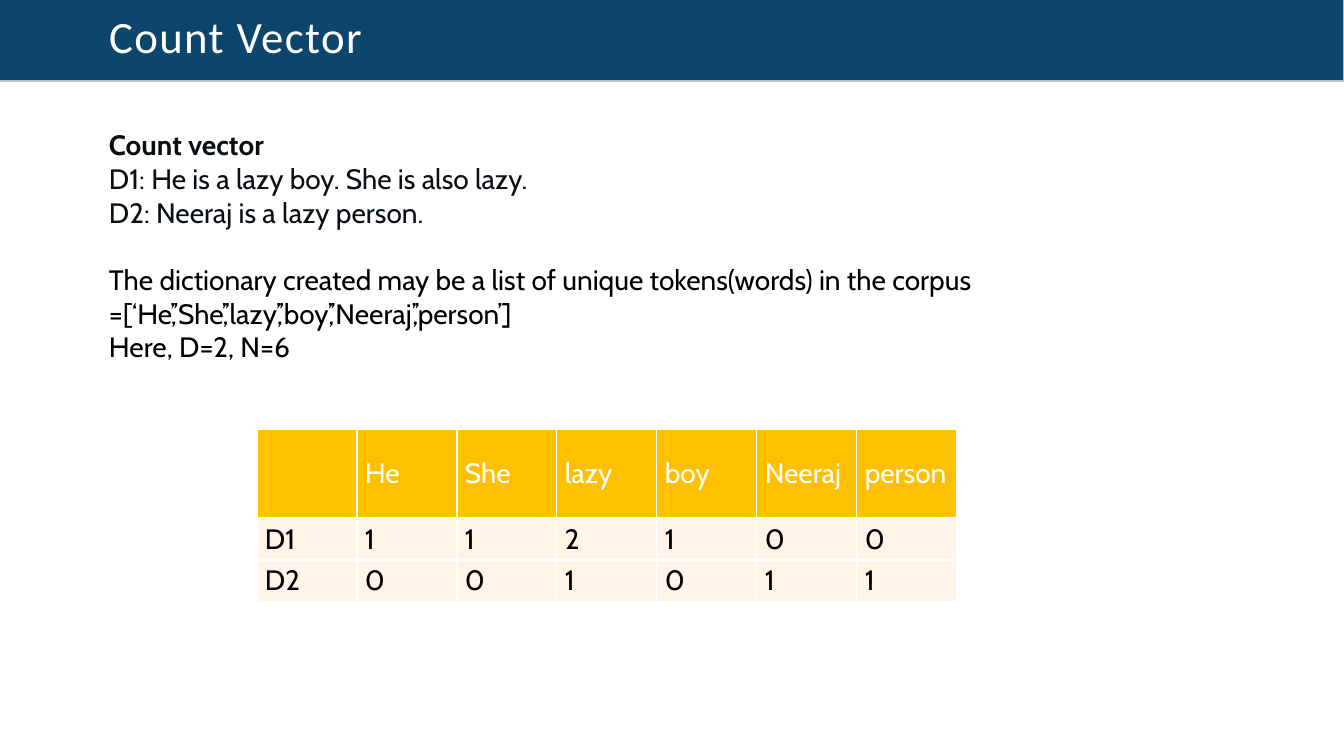
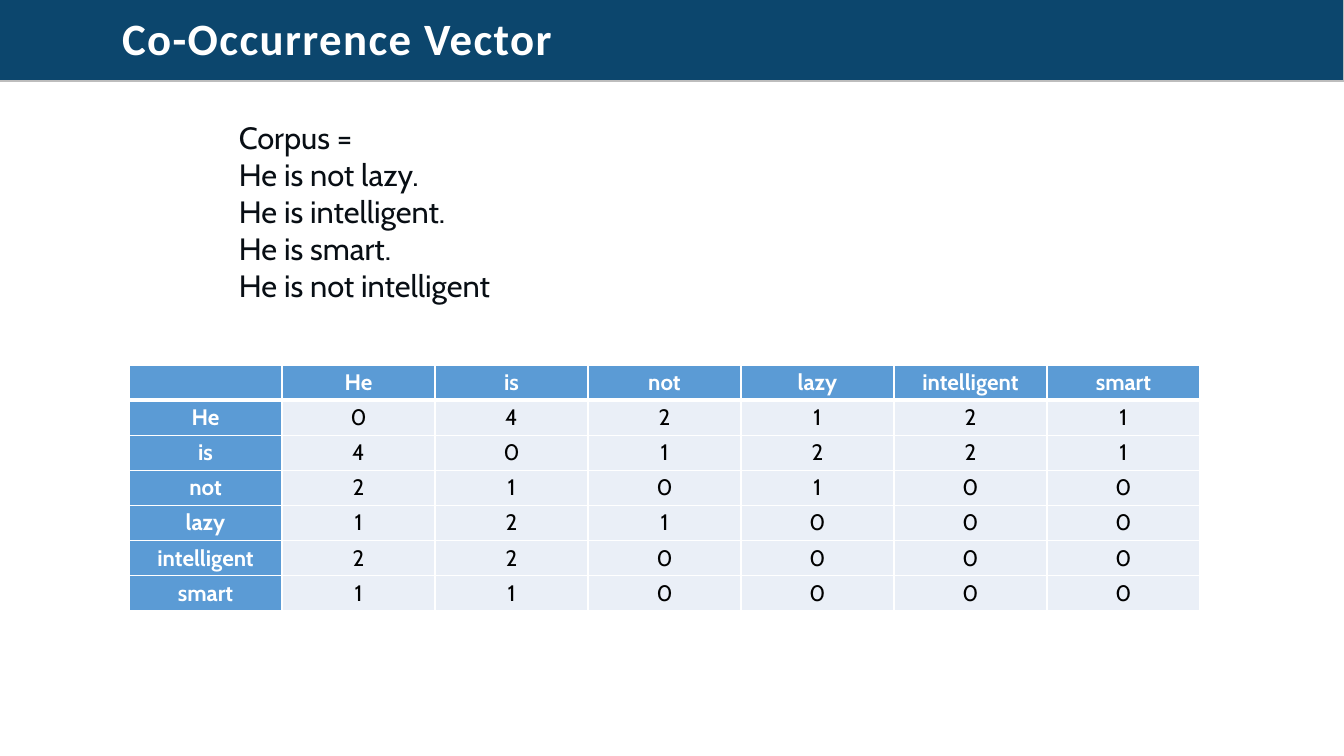
from dataclasses import dataclass
from lxml.etree import SubElement
from pptx import Presentation
from pptx.dml.color import RGBColor
from pptx.enum.shapes import MSO_SHAPE as Preset
from pptx.enum.text import MSO_ANCHOR as Anchor, MSO_AUTO_SIZE as AutoSize, PP_ALIGN as Align
from pptx.oxml import parse_xml
from pptx.oxml.ns import nsdecls, qn
from pptx.util import Emu, Pt

PIXEL = 914400 / 100.8
WHITE = RGBColor(0xFF, 0xFF, 0xFF)
BLACK = RGBColor(0x00, 0x00, 0x00)
INK = RGBColor(0x08, 0x0E, 0x14)
NAVY = RGBColor(0x0C, 0x46, 0x6D)
SILVER = RGBColor(0xBD, 0xBD, 0xBD)
AMBER = RGBColor(0xFF, 0xC0, 0x00)
CREAM = RGBColor(0xFF, 0xF4, 0xE7)
BLUE = RGBColor(0x5B, 0x9B, 0xD5)
PALE_BLUE = RGBColor(0xEA, 0xEF, 0xF7)
TITLE_FONT = "Calibri"
BODY_FONT = "Cabin"


def px(length: int) -> Emu:
    return Emu(round(length * PIXEL))


@dataclass(frozen=True)
class Box:
    left: int
    top: int
    width: int
    height: int

    def emu(self) -> tuple[Emu, ...]:
        return px(self.left), px(self.top), px(self.width), px(self.height)


@dataclass(frozen=True)
class Line:
    text: str
    color: RGBColor = INK
    bold: bool = False
    space_before: int = 0


@dataclass(frozen=True)
class Grid:
    left: int
    top: int
    column_width: int
    row_heights: list[int]
    rows: list[list[str]]
    header_fill: RGBColor
    body_fill: RGBColor
    size: int
    side_inset: int
    header_rule: int
    align: Align = Align.LEFT
    bold_header: bool = False
    header_column: bool = False


def write_text(paragraph, text: str, *, size: int, color: RGBColor, font: str = BODY_FONT,
               bold: bool = False, align: Align = Align.LEFT, space_before: int = 0) -> None:
    paragraph.alignment = align
    paragraph.space_before = Pt(space_before)
    run = paragraph.add_run()
    run.text = text
    run.font.name = font
    run.font.size = Pt(size)
    run.font.bold = bold
    run.font.color.rgb = color


def add_band(slide, layout) -> None:
    band = slide.shapes.add_shape(Preset.RECTANGLE, *Box(-13, -1, 1357, 82).emu())
    band.shadow.inherit = False
    band.fill.solid()
    band.fill.fore_color.rgb = NAVY
    band.line.color.rgb = SILVER
    band.line.width = Pt(1.25)
    layout.shapes.element.insert(2, band.element)


def set_title(slide, text: str, box: Box, bold: bool = False) -> None:
    title = slide.shapes.title
    title.left, title.top, title.width, title.height = box.emu()
    frame = title.text_frame
    frame.auto_size = AutoSize.NONE
    frame.vertical_anchor = Anchor.MIDDLE
    paragraph = frame.paragraphs[0]
    paragraph.line_spacing = 0.8
    write_text(paragraph, text, size=32, color=WHITE, font=TITLE_FONT, bold=bold)
    for properties in title.element.iter(qn("a:rPr")):
        properties.set("spc", "100")


def add_lines(slide, box: Box, lines: list[Line], size: int) -> None:
    frame = slide.shapes.add_textbox(*box.emu()).text_frame
    frame.word_wrap = True
    frame.auto_size = AutoSize.SHAPE_TO_FIT_TEXT
    for index, line in enumerate(lines):
        paragraph = frame.add_paragraph() if index else frame.paragraphs[0]
        write_text(paragraph, line.text, size=size, color=line.color, bold=line.bold,
                   space_before=line.space_before)


def set_borders(cell, top: int, bottom: int) -> None:
    properties = cell._tc.get_or_add_tcPr()
    for index, (side, width) in enumerate({"L": 1, "R": 1, "T": top, "B": bottom}.items()):
        properties.insert(index, parse_xml(
            f'<a:ln{side} {nsdecls("a")} w="{Pt(width)}"><a:solidFill>'
            f'<a:srgbClr val="{WHITE}"/></a:solidFill></a:ln{side}>'))


def fill_cell(cell, text: str, grid: Grid, row: int, column: int) -> None:
    is_header = row == 0 or (grid.header_column and column == 0)
    cell.vertical_anchor = Anchor.MIDDLE
    cell.margin_left = cell.margin_right = px(grid.side_inset)
    cell.margin_top = cell.margin_bottom = px(4)
    cell.fill.solid()
    cell.fill.fore_color.rgb = grid.header_fill if is_header else grid.body_fill
    set_borders(cell, top=grid.header_rule if row == 1 else 1,
                bottom=grid.header_rule if row == 0 else 1)
    if text:
        write_text(cell.text_frame.paragraphs[0], text, size=grid.size, align=grid.align,
                   color=WHITE if is_header else BLACK, bold=is_header and grid.bold_header)
    else:
        for paragraph in cell._tc.iter(qn("a:p")):
            SubElement(paragraph, qn("a:endParaRPr"), sz=str(grid.size * 100))


def add_grid(slide, grid: Grid) -> None:
    column_count = len(grid.rows[0])
    box = Box(grid.left, grid.top, grid.column_width * column_count, sum(grid.row_heights))
    table = slide.shapes.add_table(len(grid.rows), column_count, *box.emu()).table
    table.first_row = table.horz_banding = False
    for column in table.columns:
        column.width = px(grid.column_width)
    for row_index, (height, texts) in enumerate(zip(grid.row_heights, grid.rows)):
        table.rows[row_index].height = px(height)
        for column_index, text in enumerate(texts):
            fill_cell(table.cell(row_index, column_index), text, grid, row_index, column_index)


COUNT_LINES = [
    Line("Count vector", bold=True),
    Line("D1: He is a lazy boy. She is also lazy."),
    Line("D2: Neeraj is a lazy person."),
    Line("The dictionary created may be a list of unique tokens(words) in the corpus "
         "=[‘He’,’She’,’lazy’,’boy’,’Neeraj’,’person’]", BLACK, space_before=24),
    Line("Here, D=2, N=6", BLACK),
]
COUNT_GRID = Grid(
    257, 429, 100, [89, 42, 42],
    [["", "He", "She", "lazy", "boy", "Neeraj", "person"],
     ["D1", *"112100"],
     ["D2", *"001011"]],
    AMBER, CREAM, size=20, side_inset=8, header_rule=1)

CORPUS = ["Corpus =", "He is not lazy.", "He is intelligent.", "He is smart.",
          "He is not intelligent"]
WORDS = ["He", "is", "not", "lazy", "intelligent", "smart"]
PAIR_COUNTS = ["042121", "401221", "210100", "121000", "220000", "110000"]
PAIR_GRID = Grid(
    129, 365, 153, [35] * 7,
    [["", *WORDS], *([word, *counts] for word, counts in zip(WORDS, PAIR_COUNTS))],
    BLUE, PALE_BLUE, size=16, side_inset=10, header_rule=3,
    align=Align.CENTER, bold_header=True, header_column=True)


def main() -> None:
    presentation = Presentation()
    presentation.slide_width, presentation.slide_height = px(1344), px(756)
    layout = presentation.slide_layouts[5]

    count_slide = presentation.slides.add_slide(layout)
    add_band(count_slide, layout)
    set_title(count_slide, "Count Vector", Box(99, -42, 1071, 165))
    add_lines(count_slide, Box(99, 123, 959, 281), COUNT_LINES, size=20)
    add_grid(count_slide, COUNT_GRID)

    pair_slide = presentation.slides.add_slide(layout)
    set_title(pair_slide, "Co-Occurrence Vector", Box(112, 12, 1071, 62), bold=True)
    add_grid(pair_slide, PAIR_GRID)
    add_lines(pair_slide, Box(229, 114, 853, 234), [Line(text) for text in CORPUS], size=22)

    presentation.save("out.pptx")


main()
